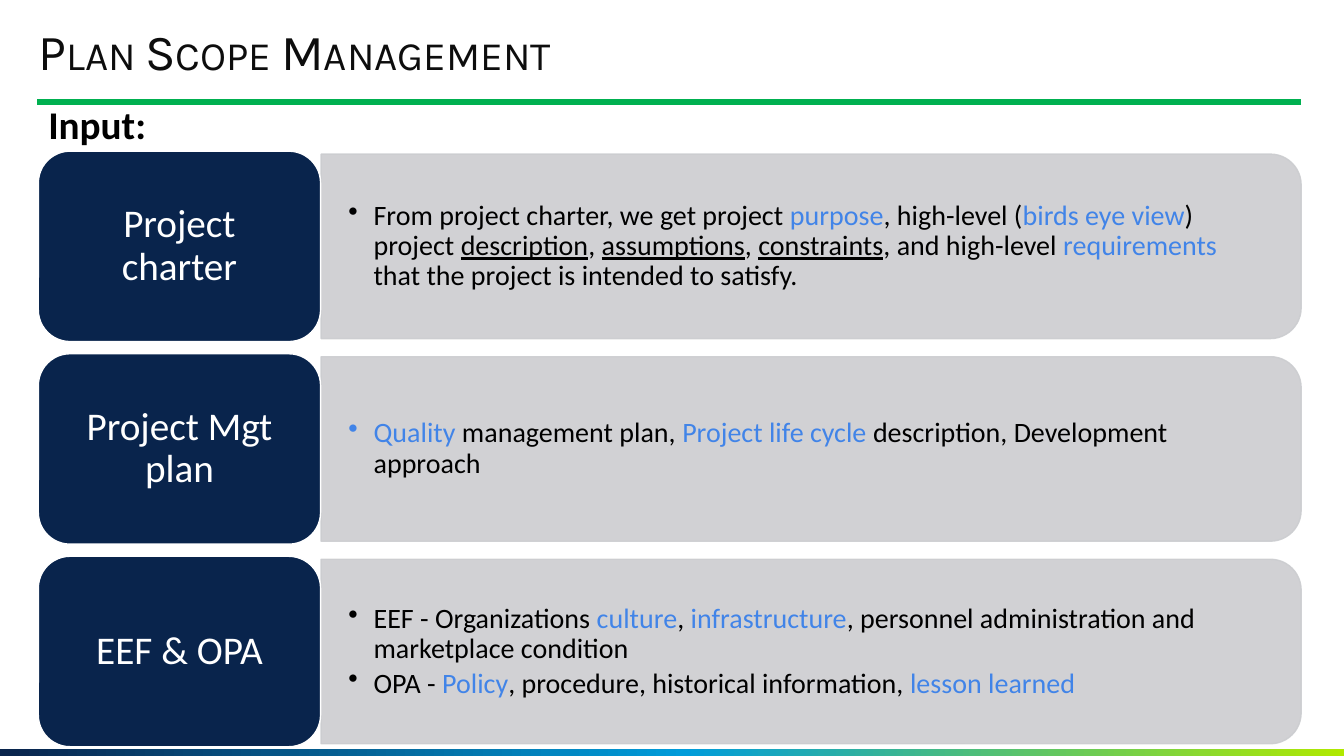
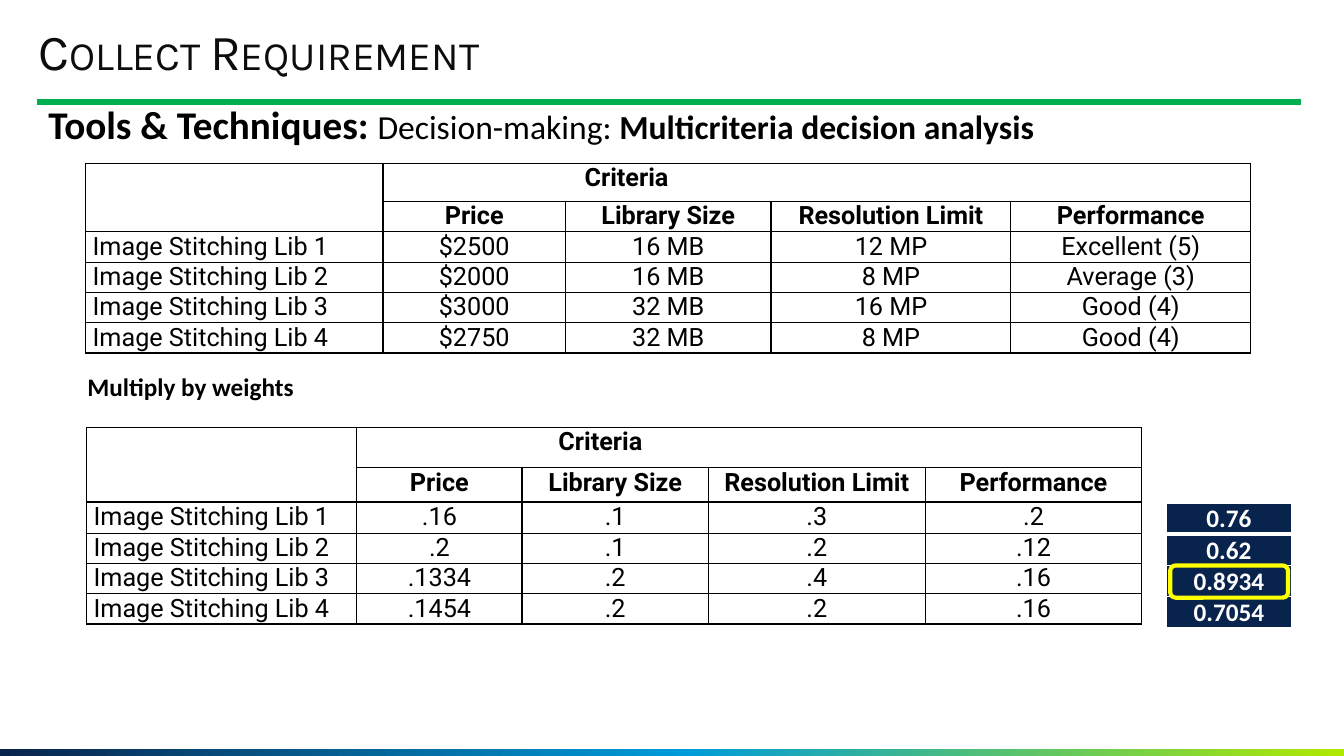
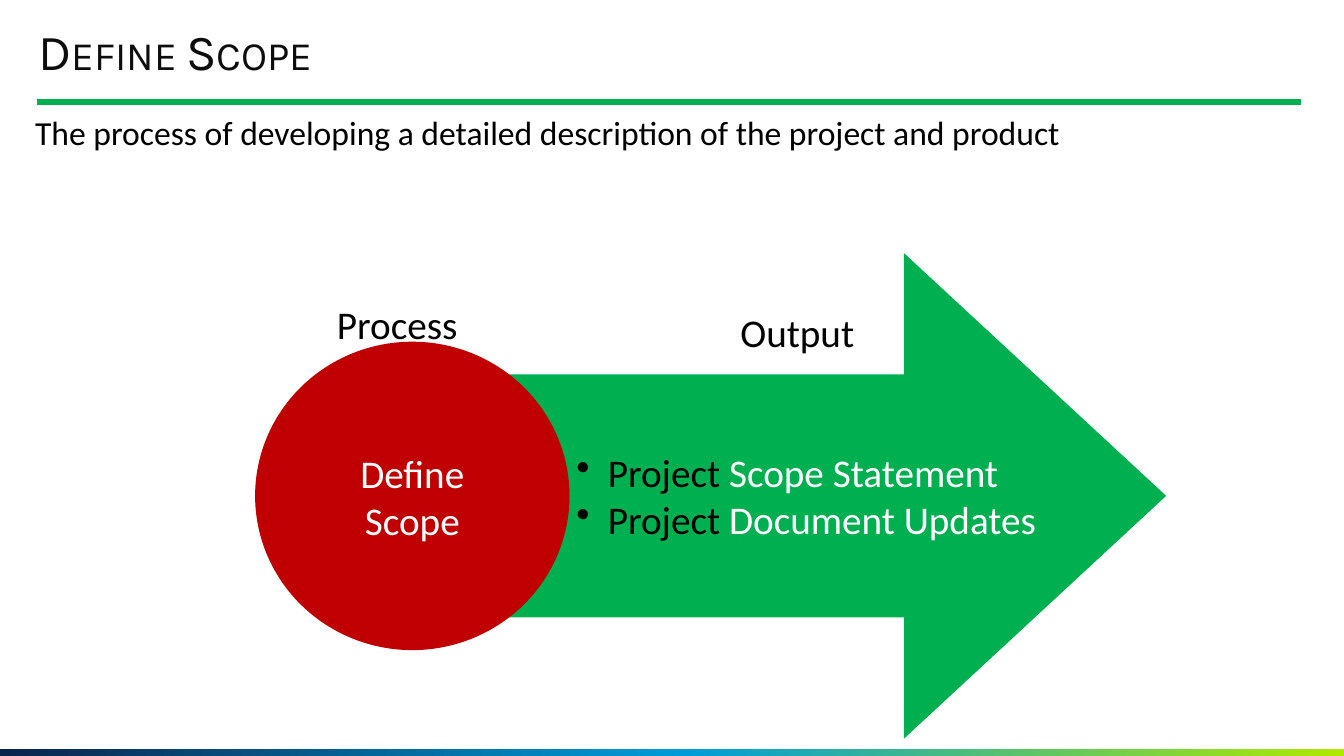
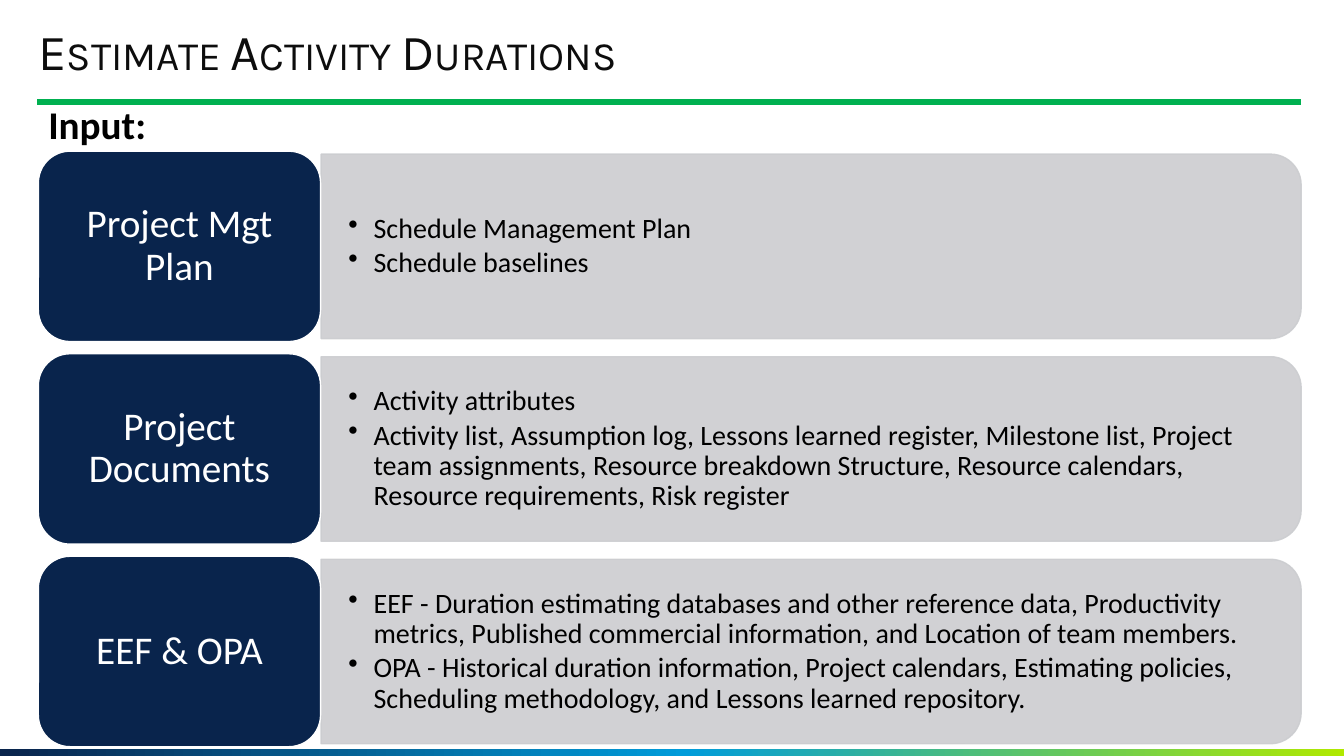
from lxml import etree
from pptx import Presentation
from pptx.dml.color import RGBColor
from pptx.enum.shapes import MSO_CONNECTOR, MSO_SHAPE
from pptx.enum.text import MSO_ANCHOR, PP_ALIGN
from pptx.oxml.ns import qn
from pptx.util import Pt

RECTANGLE = MSO_SHAPE.RECTANGLE
ROUNDED = MSO_SHAPE.ROUNDED_RECTANGLE
ROUNDED_TOP = MSO_SHAPE.ROUND_2_SAME_RECTANGLE
ELLIPSE = MSO_SHAPE.OVAL
RIGHT_ARROW = MSO_SHAPE.RIGHT_ARROW
STRAIGHT = MSO_CONNECTOR.STRAIGHT
LEFT, CENTER = PP_ALIGN.LEFT, PP_ALIGN.CENTER
TOP, MIDDLE = MSO_ANCHOR.TOP, MSO_ANCHOR.MIDDLE

COLORS = {
    "black": "000000", "white": "FFFFFF", "title": "0D0D0D",
    "navy": "09244C", "sky": "009CDA", "lime": "B0E900",
    "green": "00B050", "red": "C00000", "yellow": "FFFF00",
    "panel": "CCCDD0", "highlight": "4184E8",
}
BODY_FONT, TITLE_FONT, TABLE_FONT = "Calibri", "Karla", "Roboto"
WIDTH, HEIGHT = 960, 540
MARGIN = 27.4
INSETS = (7.2, 3.6, 7.2, 3.6)
CELL_INSETS = (5, 0, 5, 0)
LABEL_WIDTH, LABEL_HEIGHT = 201.6, 136
PANEL_WIDTH, PANEL_HEIGHT = 700, 131.8
FIRST_ROW, ROW_PITCH = 108, 144.7

BLUE = {"color": "highlight"}
UNDERLINED = {"underline": True}
WHITE = {"color": "white"}


def rgb(name):
    return RGBColor.from_string(COLORS[name])


def add_color(parent, name):
    return etree.SubElement(parent, qn("a:srgbClr"), val=COLORS[name])


def set_insets(target, insets):
    (target.margin_left, target.margin_top,
     target.margin_right, target.margin_bottom) = map(Pt, insets)


def format_run(run, size, color, font, bold=False, underline=False,
               small_caps=False):
    run.font.size = Pt(size)
    run.font.name = font
    run.font.bold = bold
    run.font.underline = underline
    run.font.color.rgb = rgb(color)
    if small_caps:
        run._r.get_or_add_rPr().set("cap", "small")


def write(frame, paragraphs, align=LEFT, line_spacing=1.0, gap=0, indent=0,
          bullet=False, size=18, color="black", font=BODY_FONT, **style):
    """Fill a frame; each paragraph is a string or a list of runs,
    each run a string or a (string, format) pair."""
    if isinstance(paragraphs, str):
        paragraphs = [paragraphs]
    base = dict(size=size, color=color, font=font, **style)
    for index, runs in enumerate(paragraphs):
        paragraph = frame.add_paragraph() if index else frame.paragraphs[0]
        properties = paragraph._p.get_or_add_pPr()
        if indent:
            properties.set("marL", str(Pt(indent)))
        if bullet:
            properties.set("indent", str(-Pt(indent)))
            etree.SubElement(properties, qn("a:buChar"), char="•")
        paragraph.alignment = align
        paragraph.line_spacing = line_spacing
        if index and gap:
            paragraph.space_before = Pt(gap)
        for item in [runs] if isinstance(runs, str) else runs:
            text, changes = (item, {}) if isinstance(item, str) else item
            run = paragraph.add_run()
            run.text = text
            format_run(run, **{**base, **changes})


def set_borders(cell, color, widths):
    """Draw the left, right, top and bottom borders of a cell."""
    properties = cell._tc.get_or_add_tcPr()
    for index, (side, width) in enumerate(zip("LRTB", widths)):
        line = etree.Element(qn("a:ln" + side), w=str(Pt(width)))
        add_color(etree.SubElement(line, qn("a:solidFill")), color)
        properties.insert(index, line)


class Deck:
    def __init__(self):
        self.presentation = Presentation()
        self.presentation.slide_width = Pt(WIDTH)
        self.presentation.slide_height = Pt(HEIGHT)
        self.slide = None

    def start_slide(self, title):
        layout = self.presentation.slide_layouts[6]
        self.slide = self.presentation.slides.add_slide(layout)
        self.gradient_band()
        self.rule(26.6, 929.5, 72.7)
        self.text(MARGIN, 19.4, 805.7, 39.6, title, insets=(0, 0, 0, 0),
                  line_spacing=0.9, size=36, color="title", font=TITLE_FONT,
                  small_caps=True)

    def gradient_band(self):
        band = self.shape(RECTANGLE, 0, 535, WIDTH, 5)
        band.fill.gradient()
        band.fill.gradient_angle = 0
        stops = band._element.spPr.find(qn("a:gradFill")).find(qn("a:gsLst"))
        for stop in list(stops):
            stops.remove(stop)
        for percent, color in ((0, "navy"), (51, "sky"), (100, "lime")):
            add_color(etree.SubElement(stops, qn("a:gs"), pos=str(percent * 1000)), color)

    def rule(self, left, right, y):
        line = self.slide.shapes.add_connector(
            STRAIGHT, Pt(left), Pt(y), Pt(right), Pt(y))
        line.line.color.rgb = rgb("green")
        line.line.width = Pt(4.5)
        etree.SubElement(line._element.spPr, qn("a:effectLst"))

    def text(self, left, top, width, height, paragraphs, insets=INSETS,
             anchor=TOP, **style):
        box = self.slide.shapes.add_textbox(Pt(left), Pt(top), Pt(width), Pt(height))
        frame = box.text_frame
        frame.word_wrap = True
        frame.vertical_anchor = anchor
        set_insets(frame, insets)
        write(frame, paragraphs, **style)

    def heading(self, runs):
        self.text(MARGIN, 72, 902.2, 39.6, [runs], line_spacing=0.9,
                  size=28, bold=True)

    def shape(self, kind, left, top, width, height, fill=None, line=None,
              line_width=1):
        shape = self.slide.shapes.add_shape(
            kind, Pt(left), Pt(top), Pt(width), Pt(height))
        shape.shadow.inherit = False
        if fill:
            shape.fill.solid()
            shape.fill.fore_color.rgb = rgb(fill)
        else:
            shape.fill.background()
        if line:
            shape.line.color.rgb = rgb(line)
            shape.line.width = Pt(line_width)
        else:
            shape.line.fill.background()
        return shape

    def shape_text(self, shape, paragraphs, insets=INSETS, **style):
        frame = shape.text_frame
        frame.word_wrap = True
        frame.vertical_anchor = MIDDLE
        set_insets(frame, insets)
        write(frame, paragraphs, align=CENTER, **style)

    def panel(self, left, middle):
        """Draw a translucent panel rounded on its right side only."""
        panel = self.shape(
            ROUNDED_TOP, left + (PANEL_WIDTH - PANEL_HEIGHT) / 2,
            middle - PANEL_WIDTH / 2, PANEL_HEIGHT, PANEL_WIDTH,
            fill="panel", line="panel")
        panel.rotation = 90
        for color in panel._element.spPr.iter(qn("a:srgbClr")):
            etree.SubElement(color, qn("a:alpha"), val="90000")

    def input_rows(self, rows):
        self.heading(["Input:"])
        panel_left = MARGIN + LABEL_WIDTH + 0.4
        for index, (label, points) in enumerate(rows):
            top = FIRST_ROW + index * ROW_PITCH
            middle = top + LABEL_HEIGHT / 2
            self.panel(panel_left, middle)
            self.text(panel_left, middle - 59.4, 693.4, 118.8, points,
                      insets=(19.5, 9.8, 19.5, 9.8), anchor=MIDDLE,
                      line_spacing=0.9, gap=3, indent=18, bullet=True, size=20)
            block = self.shape(ROUNDED, MARGIN, top, LABEL_WIDTH, LABEL_HEIGHT,
                               fill="navy", line="white")
            self.shape_text(block, label, insets=(15, 11, 15, 11),
                            line_spacing=0.9, size=28, color="white")

    def table(self, left, top, columns, rows):
        """Add a plain table with the given column widths and row heights."""
        frame = self.slide.shapes.add_table(
            len(rows), len(columns), Pt(left), Pt(top),
            Pt(sum(columns)), Pt(sum(rows)))
        table = frame.table
        table.first_row = table.horz_banding = False
        for column, width in zip(table.columns, columns):
            column.width = Pt(width)
        for row, height in zip(table.rows, rows):
            row.height = Pt(height)
        return table

    def criteria_table(self, left, top, columns, heights, values):
        table = self.table(left, top, columns, heights)
        for cell in table.iter_cells():
            cell.fill.background()
            set_insets(cell, CELL_INSETS)
            set_borders(cell, "black", (1, 1, 1, 1))
        table.cell(0, 0).merge(table.cell(1, 0))
        table.cell(0, 1).merge(table.cell(0, 4))
        write(table.cell(0, 1).text_frame, "Criteria", indent=139,
              font=TABLE_FONT, bold=True)
        headers = ["Price", "Library Size", "Resolution Limit", "Performance"]
        for column, header in enumerate(headers, 1):
            write(table.cell(1, column).text_frame, header, align=CENTER,
                  font=TABLE_FONT, bold=True)
        for number, row in enumerate(values, 1):
            cells = [f"Image Stitching Lib {number}", *row]
            for column, value in enumerate(cells):
                write(table.cell(number + 1, column).text_frame, value,
                      align=CENTER if column else LEFT, font=TABLE_FONT)

    def score_table(self, left, top, scores):
        table = self.table(left, top, [89.6], [22.3] * len(scores))
        for index, score in enumerate(scores):
            cell = table.cell(index, 0)
            cell.fill.solid()
            cell.fill.fore_color.rgb = rgb("navy")
            cell.vertical_anchor = MIDDLE
            set_insets(cell, (0.7, 0.7, 0.7, 0))
            set_borders(cell, "white", (1, 1, 3 if index == 1 else 1,
                                        1 if index else 3))
            write(cell.text_frame, score, align=CENTER, color="white", bold=True)


def plan_scope(deck):
    deck.start_slide("Plan Scope Management")
    deck.input_rows([
        ("Project charter", [[
            "From project charter, we get project ", ("purpose", BLUE),
            ", high-level (", ("birds eye view", BLUE), ") project ",
            ("description", UNDERLINED), ", ", ("assumptions", UNDERLINED),
            ", ", ("constraints", UNDERLINED), ", and high-level ",
            ("requirements", BLUE),
            " that the project is intended to satisfy."]]),
        ("Project Mgt plan", [[
            ("Quality", BLUE), " management plan, ",
            ("Project life cycle ", BLUE), "description, Development approach"]]),
        ("EEF & OPA", [
            ["EEF - Organizations ", ("culture", BLUE), ", ",
             ("infrastructure", BLUE),
             ", personnel administration and marketplace condition"],
            ["OPA - ", ("Policy", BLUE), ", procedure, historical information, ",
             ("lesson learned", BLUE)]]),
    ])


def collect_requirement(deck):
    deck.start_slide("Collect Requirement")
    deck.heading(["Tools & Techniques: ",
                  ("Decision-making: ", {"size": 24, "bold": False}),
                  ("Multicriteria decision analysis", {"size": 24})])
    deck.criteria_table(
        61.2, 116.6, [212.4, 130.3, 146.9, 171.3, 171.3], [27.4] + [21.6] * 5,
        [("$2500", "16 MB", "12 MP", "Excellent (5)"),
         ("$2000", "16 MB", "8 MP", "Average (3)"),
         ("$3000", "32 MB", "16 MP", "Good (4)"),
         ("$2750", "32 MB", "8 MP", "Good (4)")])
    deck.text(55.4, 261.4, 480, 28.8, "Multiply by weights", bold=True)
    deck.criteria_table(
        61.9, 305.3, [193, 118, 133.2, 154.8, 154.8],
        [28.8, 24.5, 22.3] + [21.6] * 3,
        [(".16", ".1", ".3", ".2"),
         (".2", ".1", ".2", ".12"),
         (".1334", ".2", ".4", ".16"),
         (".1454", ".2", ".2", ".16")])
    deck.score_table(833, 359.3, ["0.76", "0.62", "0.8934", "0.7054"])
    deck.shape(ROUNDED, 835.9, 403.9, 84.2, 23, line="yellow", line_width=3)


def define_scope(deck):
    deck.start_slide("Define Scope")
    deck.text(18, 76.3, 900, 36, "The process of developing a detailed "
              "description of the project and product", size=24)
    arrow = deck.shape(RIGHT_ARROW, 346.3, 180.7, 486.7, 347, fill="green")
    arrow.adjustments[1] = 0.54
    circle = deck.shape(ELLIPSE, 182.2, 244.1, 224.6, 220.3, fill="red")
    deck.shape_text(circle, "Define Scope", size=28, color="white")
    for label, left, top in (("Process", 221.8, 211), ("Output", 507.6, 216.7)):
        deck.text(left, top, 123.8, 41, label, align=CENTER, size=28)
    deck.text(404.6, 316.8, 401.8, 126,
              [["Project ", ("Scope Statement", WHITE)],
               ["Project ", ("Document Updates", WHITE)]],
              indent=22.5, bullet=True, size=28)


def estimate_durations(deck):
    deck.start_slide("Estimate Activity Durations")
    deck.input_rows([
        ("Project Mgt Plan", ["Schedule Management Plan", "Schedule baselines"]),
        ("Project Documents", [
            "Activity attributes",
            "Activity list, Assumption log, Lessons learned register, "
            "Milestone list, Project team assignments, Resource breakdown "
            "Structure, Resource calendars, Resource requirements, Risk register"]),
        ("EEF & OPA", [
            "EEF - Duration estimating databases and other reference data, "
            "Productivity metrics, Published commercial information, and "
            "Location of team members.",
            "OPA - Historical duration information, Project calendars, "
            "Estimating policies, Scheduling methodology, and Lessons learned "
            "repository."]),
    ])


def main():
    deck = Deck()
    plan_scope(deck)
    collect_requirement(deck)
    define_scope(deck)
    estimate_durations(deck)
    deck.presentation.save("out.pptx")


if __name__ == "__main__":
    main()
